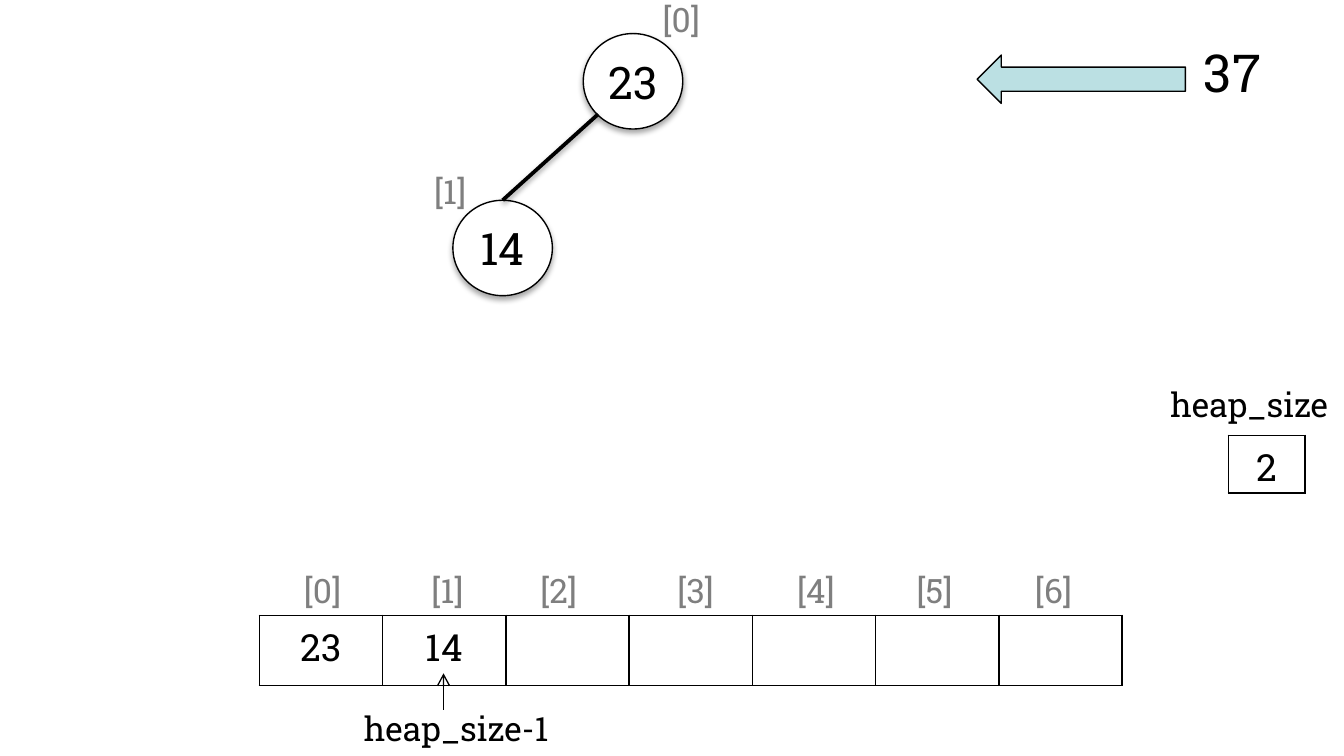
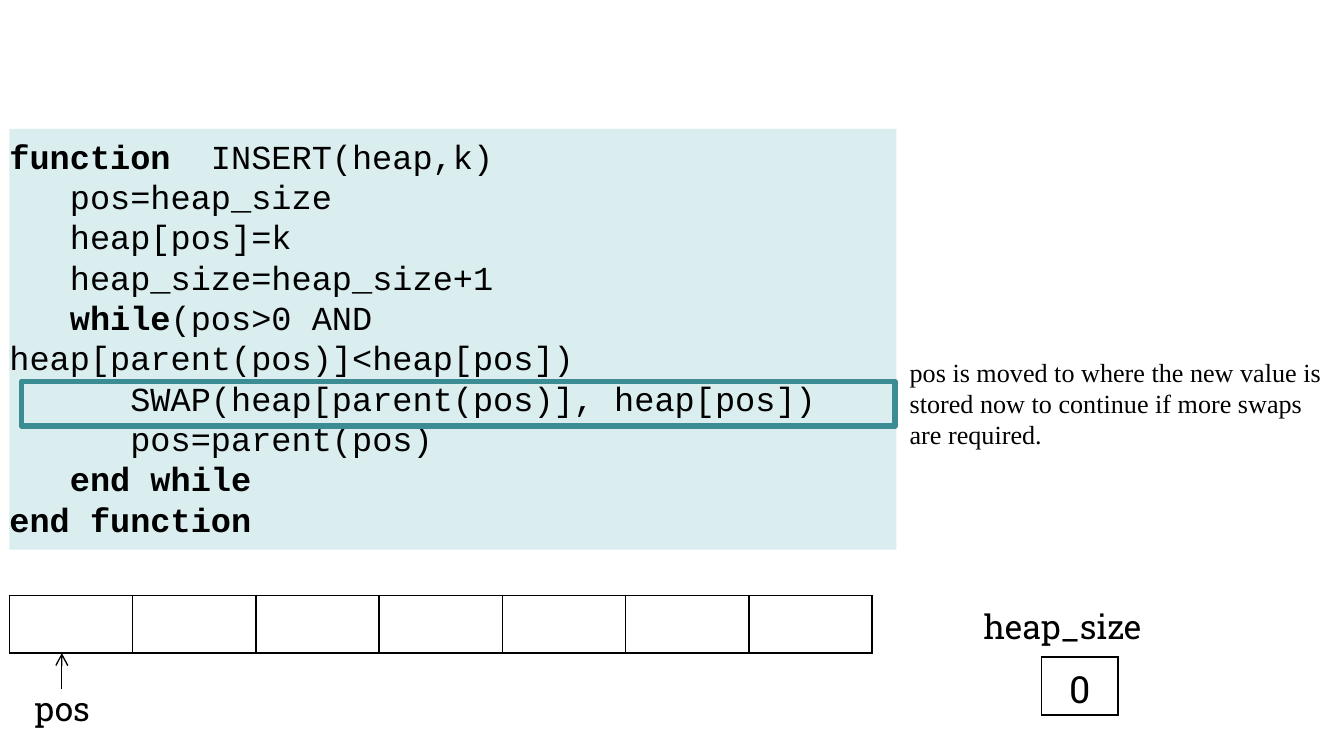
import pptx
import pptx.dml.color
import pptx.enum.shapes
import pptx.enum.text
import pptx.oxml
import pptx.oxml.ns
import pptx.util
from lxml import etree

INCH = pptx.util.Inches
SHAPES = pptx.enum.shapes.MSO_SHAPE
ALIGN = pptx.enum.text.PP_ALIGN
ANCHOR = pptx.enum.text.MSO_ANCHOR

SLIDE_WIDTH = 10
SLIDE_HEIGHT = SLIDE_WIDTH * 9 / 16
SLAB, MONO, SERIF = "Roboto Slab", "Courier New", "Times New Roman"
BLACK, WHITE, GREY = "000000", "FFFFFF", "7F7F7F"
ARROW_FILL, CODE_FILL, HIGHLIGHT = "BBE0E3", "DAEDEF", "3C8C93"

COLUMNS, ARRAY_WIDTH, ROW_HEIGHT = 7, 6.42, 0.43
NODE_SIZE = (0.74, 0.71)
POINTER_LENGTH = 0.27
CODE_BOX = (0.07, 0.96, 6.6, 3.13)

HEAP = ["23", "14"]
NEW_VALUE = "37"
NODES = [("23", 4.34, 0.25), ("14", 3.37, 1.49)]
NODE_INDEXES = [("[0]", 4.83, -0.06, 0.48), ("[1]", 3.13, 1.22, 0.44)]
ARRAY_INDEXES = "\t".join(f"[{index}]" for index in range(COLUMNS))
INDEX_TABS = [0.95, 1.76, 2.78, 3.67, 4.56, 5.44]

CODE = [
    [("function", True), ("  INSERT(heap,k)", False)],
    [("   pos=heap_size", False)],
    [("   heap[pos]=k", False)],
    [("   heap_size=heap_size+1", False)],
    [("   ", False), ("while", True), ("(pos>0 AND heap[parent(pos)]<heap[pos])", False)],
    [("      SWAP(heap[parent(pos)], heap[pos])", False)],
    [("      pos=parent(pos)", False)],
    [("   ", False), ("end while", True)],
    [("end function", True)],
]
EXPLANATION = ("pos is moved to where the new value is stored now "
               "to continue if more swaps are required.")


def color(value):
    return pptx.dml.color.RGBColor.from_string(value)


def add_xml(parent, tag, **attributes):
    element = etree.SubElement(parent, pptx.oxml.ns.qn(tag))
    for name, value in attributes.items():
        element.set(name, str(value))
    return element


def set_font(paragraph, size, name=SLAB, hue=BLACK):
    paragraph.font.size = pptx.util.Pt(size)
    paragraph.font.name = name
    paragraph.font.color.rgb = color(hue)


def add_shadow(effects, opacity, distance):
    shadow = add_xml(effects, "a:outerShdw", blurRad=pptx.util.Pt(3.1),
                     dist=pptx.util.Pt(distance), dir=5400000, rotWithShape=0)
    black = add_xml(shadow, "a:srgbClr", val=BLACK)
    add_xml(black, "a:alpha", val=opacity * 1000)


def add_text(slide, text, box, size=18, name=SLAB, hue=BLACK, wrap=False, tabs=()):
    shape = slide.shapes.add_textbox(*map(INCH, box))
    shape.text_frame.word_wrap = wrap
    paragraph = shape.text_frame.paragraphs[0]
    paragraph.text = text
    if tabs:
        stops = add_xml(paragraph._p.get_or_add_pPr(), "a:tabLst")
        for stop in tabs:
            add_xml(stops, "a:tab", pos=INCH(stop), algn="l")
    set_font(paragraph, size, name, hue)
    return shape


def add_box(slide, kind, box, fill=None, line=None, width=0.75):
    shape = slide.shapes.add_shape(kind, *map(INCH, box))
    shape.shadow.inherit = False
    if fill:
        shape.fill.solid()
        shape.fill.fore_color.rgb = color(fill)
    else:
        shape.fill.background()
    if line:
        shape.line.color.rgb = color(line)
        shape.line.width = pptx.util.Pt(width)
    else:
        shape.line.fill.background()
    return shape


def add_line(slide, start, end, width=0.75, arrow=False):
    line = slide.shapes.add_connector(pptx.enum.shapes.MSO_CONNECTOR.STRAIGHT,
                                      *map(INCH, start + end))
    line.line.color.rgb = color(BLACK)
    line.line.width = pptx.util.Pt(width)
    if arrow:
        add_xml(line.line._get_or_add_ln(), "a:tailEnd", type="arrow")
    effects = add_xml(line._element.spPr, "a:effectLst")
    return line, effects


def add_borders(cell):
    properties = cell._tc.get_or_add_tcPr()
    for side in ("a:lnL", "a:lnR", "a:lnT", "a:lnB"):
        border = add_xml(properties, side, w=pptx.util.Pt(1))
        add_xml(add_xml(border, "a:solidFill"), "a:srgbClr", val=BLACK)


def add_grid(slide, left, top, widths, heights, values, bordered_from=0):
    frame = slide.shapes.add_table(len(heights), len(widths), INCH(left), INCH(top),
                                   INCH(sum(widths)), INCH(sum(heights)))
    table = frame.table
    table.first_row = table.horz_banding = False
    for column, width in zip(table.columns, widths):
        column.width = INCH(width)
    for number, (row, height) in enumerate(zip(table.rows, heights)):
        row.height = INCH(height)
        for cell in row.cells:
            if number >= bordered_from:
                add_borders(cell)
            cell.fill.background()
            cell.margin_bottom = 0
    for (row, column), value in values.items():
        paragraph = table.cell(row, column).text_frame.paragraphs[0]
        paragraph.text = value
        paragraph.alignment = ALIGN.CENTER
        set_font(paragraph, 20)


def add_array(slide, left, top, height, values=()):
    cells = {(0, column): value for column, value in enumerate(values)}
    add_grid(slide, left, top, [ARRAY_WIDTH / COLUMNS] * COLUMNS, [height], cells)


def add_heap_size(slide, left, top, value):
    add_grid(slide, left, top, [0.57], [0.41, ROW_HEIGHT], {(1, 0): value}, bordered_from=1)
    add_text(slide, "heap_size", (left - 0.53, top - 0.02, 1.39, 0.4))


def add_pointer(slide, label, x, tip, label_left, label_width):
    base = tip + POINTER_LENGTH
    add_line(slide, (x, base), (x, tip), arrow=True)
    add_text(slide, label, (label_left, base - 0.06, label_width, 0.4))


def add_node(slide, value, left, top):
    node = add_box(slide, SHAPES.OVAL, (left, top) + NODE_SIZE, WHITE, BLACK)
    add_shadow(node._element.spPr.find(pptx.oxml.ns.qn("a:effectLst")), 35, 1.8)
    frame = node.text_frame
    frame.margin_left = frame.margin_right = INCH(0.04)
    frame.vertical_anchor = ANCHOR.MIDDLE
    paragraph = frame.paragraphs[0]
    paragraph.text = value
    paragraph.alignment = ALIGN.CENTER
    set_font(paragraph, 24)
    return node


def build_heap_slide(slide):
    add_array(slide, 1.93, 4.58, 0.52, HEAP)
    add_text(slide, ARRAY_INDEXES, (2.16, 4.19, 7.02, 0.4), hue=GREY, wrap=True, tabs=INDEX_TABS)
    add_heap_size(slide, 9.14, 2.83, str(len(HEAP)))
    add_pointer(slide, "heap_size-1", 3.3, 5.01, 2.61, 1.59)
    root, child = [add_node(slide, *node) for node in NODES]
    edge, effects = add_line(slide, (4.45, 0.85), (3.74, 1.49), width=2)
    edge.end_connect(child, 0)
    add_shadow(effects, 38, 1.6)
    for label, left, top, width in NODE_INDEXES:
        add_text(slide, label, (left, top, width, 0.4), hue=GREY)
    add_box(slide, SHAPES.LEFT_ARROW, (7.27, 0.41, 1.55, 0.36), ARROW_FILL, BLACK)
    add_text(slide, NEW_VALUE, (8.86, 0.25, 0.63, 0.57), size=28)


def add_code(slide):
    frame = add_box(slide, SHAPES.RECTANGLE, CODE_BOX, CODE_FILL).text_frame
    frame.word_wrap = True
    frame.margin_left = frame.margin_right = 0
    frame.vertical_anchor = ANCHOR.TOP
    for number, parts in enumerate(CODE):
        paragraph = frame.add_paragraph() if number else frame.paragraphs[0]
        paragraph.alignment = ALIGN.LEFT
        paragraph.line_spacing = pptx.util.Pt(21.6)
        set_font(paragraph, 18, MONO)
        for text, bold in parts:
            run = paragraph.add_run()
            run.text = text
            run.font.bold = bold


def build_insert_slide(slide):
    add_code(slide)
    add_array(slide, 0.07, 4.43, ROW_HEIGHT)
    add_pointer(slide, "pos", 0.46, 4.86, 0.16, 0.61)
    add_heap_size(slide, 7.75, 4.48, "0")
    add_box(slide, SHAPES.RECTANGLE, (0.16, 2.84, 6.5, 0.33), line=HIGHLIGHT, width=3)
    add_text(slide, EXPLANATION, (6.67, 2.6, 3.27, 0.81), size=14, name=SERIF, wrap=True)


def main():
    presentation = pptx.Presentation()
    presentation.slide_width = INCH(SLIDE_WIDTH)
    presentation.slide_height = INCH(SLIDE_HEIGHT)
    for build in (build_heap_slide, build_insert_slide):
        build(presentation.slides.add_slide(presentation.slide_layouts[6]))
    presentation.save("out.pptx")


if __name__ == "__main__":
    main()
